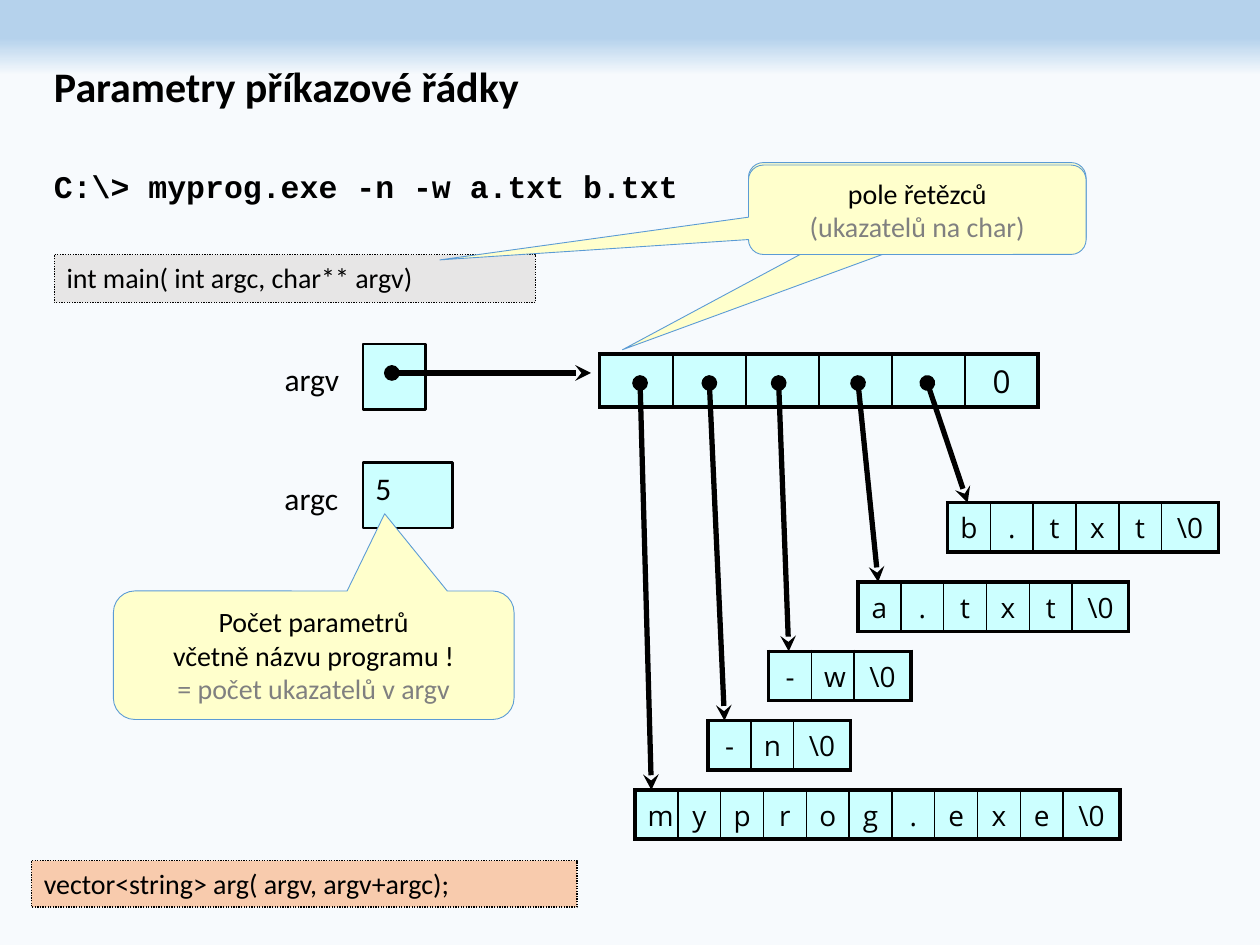
from copy import deepcopy
from lxml import etree
from pptx import Presentation
from pptx.dml.color import RGBColor
from pptx.enum import dml, shapes, text
from pptx.oxml import ns
from pptx.util import Inches, Pt

BLACK = RGBColor(0, 0, 0)
GREY = RGBColor(0x80, 0x80, 0x80)
SKY = RGBColor(0xB5, 0xD2, 0xEC)
PALE = RGBColor(0xF7, 0xFA, 0xFD)
CYAN = RGBColor(0xCC, 0xFF, 0xFF)
YELLOW = RGBColor(0xFF, 0xFF, 0xCC)
BLUE = RGBColor(0x5B, 0x9B, 0xD5)
SILVER = RGBColor(0xE7, 0xE6, 0xE6)
PEACH = RGBColor(0xF8, 0xCB, 0xAD)

prs = Presentation()
prs.slide_width, prs.slide_height = Inches(10), Inches(7.5)
slide = prs.slides.add_slide(prs.slide_layouts[6])

backdrop = slide.background.fill
backdrop.gradient()
backdrop.gradient_angle = 270
stop_list = slide.element.find(".//" + ns.qn("a:gsLst"))
stop_list.append(deepcopy(stop_list[-1]))
for stop, (position, color) in zip(backdrop.gradient_stops, [(0, SKY), (0.04, SKY), (0.08, PALE)]):
    stop.color.rgb = color
    stop.position = position


def write(frame, lines, align=text.PP_ALIGN.LEFT, anchor=text.MSO_ANCHOR.TOP,
          wrap=True, spacing=None, size=16, name="Calibri", bold=False):
    frame.word_wrap = wrap
    frame.vertical_anchor = anchor
    for index, (words, color) in enumerate(lines):
        paragraph = frame.add_paragraph() if index else frame.paragraphs[0]
        paragraph.alignment = align
        paragraph.line_spacing = spacing
        run = paragraph.add_run()
        run.text = words
        for key, value in {"size": Pt(size), "name": name, "bold": bold}.items():
            setattr(run.font, key, value)
        run.font.color.rgb = color


def draw(kind, place, fill, line, width, dash=None):
    shape = slide.shapes.add_shape(kind, *map(Inches, place))
    shape.shadow.inherit = False
    shape.fill.solid()
    shape.fill.fore_color.rgb = fill
    shape.line.color.rgb = line
    shape.line.width = Pt(width)
    shape.line.dash_style = dash
    return shape


callouts = [
    ((5.94, 1.29, 2.68, 0.71), (-0.873, 1.593), []),
    ((5.94, 1.31, 2.68, 0.71), (-1.414, 0.561),
     [("pole řetězců", BLACK), ("(ukazatelů na char)", GREY)]),
    ((0.9, 4.69, 3.18, 1.02), (0.177, -1.101),
     [("Počet parametrů", BLACK), ("včetně názvu programu !", BLACK),
      ("= počet ukazatelů v argv", GREY)]),
]
boxes = [
    ((2.88, 2.73, 0.5, 0.52), CYAN, 1.5, None, "", 18),
    ((2.88, 3.67, 0.71, 0.52), CYAN, 1.5, None, "5", 18),
    ((0.43, 2.02, 3.82, 0.38), SILVER, 0.75, dml.MSO_LINE.ROUND_DOT,
     "int main( int argc, char** argv)", 16),
    ((0.25, 6.83, 4.33, 0.37), PEACH, 0.75, dml.MSO_LINE.ROUND_DOT,
     "vector<string> arg( argv, argv+argc);", 16),
]
for place, fill, width, dash, words, size in boxes:
    box = draw(shapes.MSO_SHAPE.RECTANGLE, place, fill, BLACK, width, dash)
    if words:
        write(box.text_frame, [(words, BLACK)], size=size)

for place, tip, lines in callouts:
    callout = draw(shapes.MSO_SHAPE.ROUNDED_RECTANGULAR_CALLOUT, place, YELLOW, BLUE, 0.5)
    for index, value in enumerate((*tip, 0.167)):
        callout.adjustments[index] = value
    write(callout.text_frame, lines, text.PP_ALIGN.CENTER, text.MSO_ANCHOR.MIDDLE)

labels = [
    ((0.33, 0.42, 8.52, 0.57), "Parametry příkazové řádky",
     dict(size=24, bold=True, spacing=0.9, anchor=text.MSO_ANCHOR.MIDDLE)),
    ((0.33, 1.31, 5.5, 0.5), r"C:\> myprog.exe -n -w a.txt b.txt",
     dict(size=18, bold=True, spacing=0.9, name="Courier New")),
    ((2.16, 2.81, 0.68, 0.4), "argv", dict(size=18, wrap=False)),
    ((2.16, 3.75, 0.67, 0.4), "argc", dict(size=18, wrap=False)),
]
for place, words, style in labels:
    label = slide.shapes.add_textbox(*map(Inches, place))
    write(label.text_frame, [(words, BLACK)], **style)

END = "\\0"
arrays = [(4.76, 2.81, [""] * 5 + ["0"], 0.58, 0.58, 0.42, 18)]
for left, top, word in [(5.04, 6.27, "myprog.exe"), (5.62, 5.72, "-n"), (6.1, 5.17, "-w"),
                        (6.81, 4.62, "a.txt"), (7.52, 3.99, "b.txt")]:
    arrays.append((left, top, [*word, END], 0.34, 0.45, 0.39, 16))

for left, top, items, width, last_width, height, size in arrays:
    last = len(items) - 1
    table = slide.shapes.add_table(1, len(items), Inches(left), Inches(top),
                                   Inches(width * last + last_width), Inches(height)).table
    table.first_row = table.horz_banding = False
    table.rows[0].height = Inches(height)
    for column, item in enumerate(items):
        table.columns[column].width = Inches(last_width if column == last else width)
        cell = table.cell(0, column)
        cell.fill.solid()
        cell.fill.fore_color.rgb = CYAN
        if item:
            write(cell.text_frame, [(item, BLACK)], text.PP_ALIGN.CENTER, size=size, name="Open Sans")
        edges = {"L": 1 if column else 2.25, "R": 2.25 if column == last else 1, "T": 2.25, "B": 2.25}
        for order, (side, points) in enumerate(edges.items()):
            edge = etree.Element(ns.qn("a:ln" + side), w=str(Pt(points)))
            paint = etree.SubElement(edge, ns.qn("a:solidFill"))
            etree.SubElement(paint, ns.qn("a:srgbClr"), val=str(BLACK))
            cell.fill._xPr.insert(order, edge)

pointers = [
    (5.08, 3.04, 5.17, 6.27), (5.63, 3.04, 5.75, 5.72), (6.18, 3.04, 6.26, 5.17),
    (6.81, 3.04, 6.97, 4.62), (7.36, 3.04, 7.68, 3.99), (3.11, 2.96, 4.69, 2.96),
]
for ends in pointers:
    pointer = slide.shapes.add_connector(shapes.MSO_CONNECTOR.STRAIGHT, *map(Inches, ends))
    pointer.line.color.rgb = BLACK
    pointer.line.width = Pt(3)
    stroke = pointer.line._get_or_add_ln()
    etree.SubElement(stroke, ns.qn("a:headEnd"), type="oval")
    etree.SubElement(stroke, ns.qn("a:tailEnd"), type="stealth")
    etree.SubElement(pointer.element.spPr, ns.qn("a:effectLst"))

prs.save("out.pptx")
